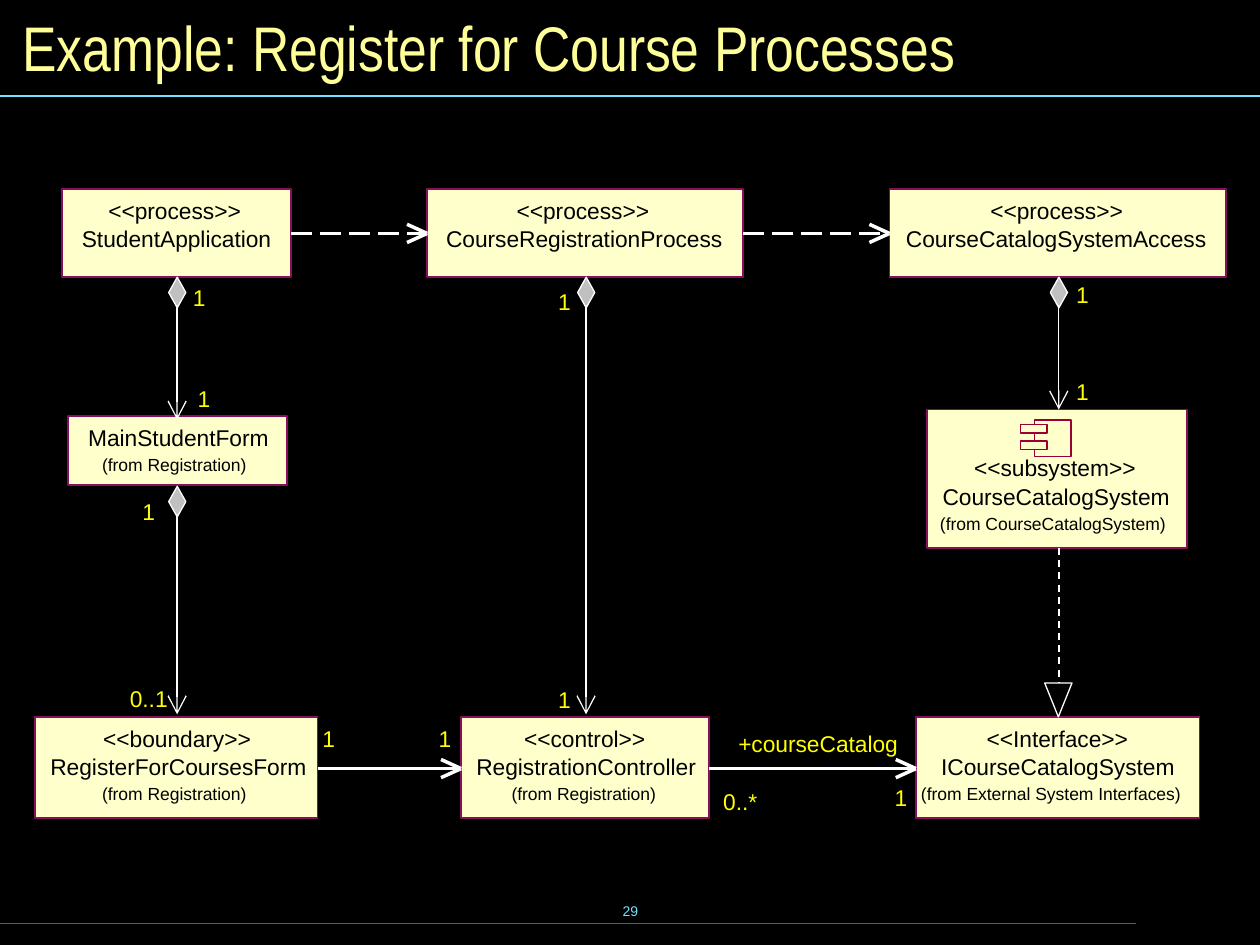
from dataclasses import dataclass

from lxml import etree
from pptx import Presentation
from pptx.dml.color import RGBColor
from pptx.enum.dml import MSO_LINE
from pptx.enum.shapes import MSO_CONNECTOR, MSO_SHAPE
from pptx.enum.text import MSO_ANCHOR, MSO_AUTO_SIZE, PP_ALIGN
from pptx.oxml.ns import qn
from pptx.util import Pt

COLORS = {
    "background": "000000",
    "title": "FFFF99",
    "rule": "73E1FF",
    "footer_rule": "007E9F",
    "box": "FFFFCC",
    "box_border": "8A0E5E",
    "symbol": "990033",
    "name": "000000",
    "role": "FFFF00",
    "link": "FFFFFF",
    "diamond": "C0C0C0",
}
NAME_SIZE, SOURCE_SIZE = 13, 10
LINE_STEP = {NAME_SIZE: 16.2, SOURCE_SIZE: 17.3}
LINE_HEIGHT = {NAME_SIZE: 15.8, SOURCE_SIZE: 12.2}
HAIRLINE = 0


@dataclass
class Label:
    text: str
    left: float
    width: float
    size: int = NAME_SIZE


@dataclass
class ClassBox:
    left: float
    top: float
    width: float
    height: float
    labels: list[Label]
    inset: float = 4.3


@dataclass
class Role:
    text: str
    left: float
    top: float
    width: float = 7.2


@dataclass
class Composition:
    x: float
    top: float
    bottom: float


@dataclass
class Link:
    start: float
    end: float
    y: float
    width: float = HAIRLINE
    dash: MSO_LINE | None = None


REGISTRATION = "(from Registration)"

CLASSES = [
    ClassBox(244.1, 108, 180.7, 50.4, [
        Label("<<process>>", 295.2, 75.6),
        Label("CourseRegistrationProcess", 254.9, 157.7)]),
    ClassBox(35.3, 108, 131, 50.4, [
        Label("<<process>>", 61.9, 75.6),
        Label("StudentApplication", 46.8, 108)]),
    ClassBox(529.9, 234, 148.3, 79.2, [
        Label("<<subsystem>>", 556.6, 92.2),
        Label("CourseCatalogSystem", 538.6, 129.6),
        Label("(from CourseCatalogSystem)", 537.1, 128.9, SOURCE_SIZE)], inset=25.5),
    ClassBox(20.2, 409.7, 161.3, 57.6, [
        Label("<<boundary>>", 59, 84.2),
        Label("RegisterForCoursesForm", 28.8, 146.2),
        Label(REGISTRATION, 58.3, 82.8, SOURCE_SIZE)]),
    ClassBox(38.9, 237.6, 125.3, 39.6, [
        Label("MainStudentForm", 50.4, 103),
        Label(REGISTRATION, 58.3, 82.8, SOURCE_SIZE)]),
    ClassBox(263.5, 409.7, 141.8, 57.6, [
        Label("<<control>>", 299.5, 69.1),
        Label("RegistrationController", 272.2, 125.3),
        Label(REGISTRATION, 292.3, 82.8, SOURCE_SIZE)]),
    ClassBox(523.4, 409.7, 162, 57.6, [
        Label("<<Interface>>", 563.8, 80.6),
        Label("ICourseCatalogSystem", 537.8, 133.2),
        Label("(from External System Interfaces)", 526.3, 148.3, SOURCE_SIZE)]),
    ClassBox(508.3, 108, 192.2, 50.4, [
        Label("<<process>>", 565.9, 75.6),
        Label("CourseCatalogSystemAccess", 517.7, 171.4)]),
]
ROLES = [
    Role("1", 319, 164.2), Role("1", 110.2, 162), Role("1", 614.9, 216),
    Role("1", 184.3, 414), Role("0..1", 74.2, 391, 21.6), Role("1", 113, 219.6),
    Role("1", 81.4, 284.4), Role("1", 319, 391.7), Role("1", 250.6, 414),
    Role("0..*", 413.3, 450, 19.4), Role("+courseCatalog", 421.9, 416.9, 91.4),
    Role("1", 511.2, 447.8), Role("1", 614.9, 160.6),
]
COMPOSITIONS = [
    Composition(101.2, 158.4, 239.8),
    Composition(334.9, 158.4, 408.2),
    Composition(101.2, 277.9, 408.2),
    Composition(605, 158.4, 234),
]
LINKS = [
    Link(166.3, 244.1, 133.4, 1.5, MSO_LINE.LONG_DASH),
    Link(424.8, 508.3, 133.4, 1.5, MSO_LINE.LONG_DASH),
    Link(181.5, 263.5, 439.2),
    Link(405.3, 523.4, 439.2),
]


def rgb(color: str) -> RGBColor:
    return RGBColor.from_string(COLORS[color])


def add_text(shapes, text: str, left: float, top: float, width: float, height: float,
             size: int, color: str, font: str = "Arial"):
    """Add a one-line text box without margins and return it."""
    box = shapes.add_textbox(Pt(left), Pt(top), Pt(width), Pt(height))
    frame = box.text_frame
    frame.margin_left = frame.margin_right = frame.margin_top = frame.margin_bottom = 0
    frame.word_wrap = False
    frame.auto_size = MSO_AUTO_SIZE.NONE
    paragraph = frame.paragraphs[0]
    paragraph.text = text
    paragraph.font.name = font
    paragraph.font.size = Pt(size)
    paragraph.font.color.rgb = rgb(color)
    return box


def add_outline(shapes, kind: MSO_SHAPE, left: float, top: float, width: float,
                height: float, fill: str | None, border: str, weight: float) -> None:
    shape = shapes.add_shape(kind, Pt(left), Pt(top), Pt(width), Pt(height))
    shape.shadow.inherit = False
    if fill:
        shape.fill.solid()
        shape.fill.fore_color.rgb = rgb(fill)
    else:
        shape.fill.background()
    shape.line.color.rgb = rgb(border)
    shape.line.width = Pt(weight)


def add_line(shapes, x1: float, y1: float, x2: float, y2: float, color: str = "link",
             weight: float = HAIRLINE, dash: MSO_LINE | None = None, arrow: bool = False) -> None:
    line = shapes.add_connector(MSO_CONNECTOR.STRAIGHT, Pt(x1), Pt(y1), Pt(x2), Pt(y2))
    line.line.color.rgb = rgb(color)
    line.line.width = Pt(weight)
    if dash:
        line.line.dash_style = dash
    if arrow:
        etree.SubElement(line.line._get_or_add_ln(), qn("a:tailEnd"),
                         type="arrow", w="lg", len="lg")
    etree.SubElement(line._element.spPr, qn("a:effectLst"))


def add_class(shapes, item: ClassBox) -> None:
    add_outline(shapes, MSO_SHAPE.RECTANGLE, item.left, item.top, item.width, item.height,
                "box", "box_border", 1)
    top = item.top + item.inset
    for index, label in enumerate(item.labels):
        if index:
            top += LINE_STEP[label.size]
        add_text(shapes, label.text, label.left, top, label.width,
                 LINE_HEIGHT[label.size], label.size, "name")


def add_link(shapes, link: Link) -> None:
    """Draw a horizontal line ending in an open arrowhead."""
    add_line(shapes, link.start, link.y, link.end, link.y, weight=link.width, dash=link.dash)
    for rise in (5.2, -5.2):
        add_line(shapes, link.end, link.y, link.end - 11.5, link.y + rise)


def add_composition(shapes, item: Composition) -> None:
    """Draw a diamond at the owner and an arrow down to the part."""
    add_outline(shapes, MSO_SHAPE.DIAMOND, item.x - 4.8, item.top, 9.8, 17.5,
                "diamond", "link", HAIRLINE)
    add_line(shapes, item.x, item.top + 16, item.x, item.bottom, weight=0.75, arrow=True)


def add_realization(shapes, x: float, top: float, bottom: float) -> None:
    """Draw a dashed line ending in a hollow triangle."""
    add_line(shapes, x, top, x, bottom - 19.4, weight=1, dash=MSO_LINE.DASH)
    add_outline(shapes, MSO_SHAPE.FLOWCHART_MERGE, x - 8, bottom - 19.4, 15.6, 19.4,
                None, "link", HAIRLINE)


def add_component_symbol(shapes) -> None:
    symbol = shapes.add_group_shape().shapes
    for bounds in ((591.1, 239.8, 21, 21), (583.2, 252, 15.1, 5), (583.2, 242.6, 15.1, 5)):
        add_outline(symbol, MSO_SHAPE.RECTANGLE, *bounds, "box", "symbol", 1)


def main() -> None:
    deck = Presentation()
    deck.slide_width, deck.slide_height = Pt(720), Pt(540)
    slide = deck.slides.add_slide(deck.slide_layouts[6])
    slide.background.fill.solid()
    slide.background.fill.fore_color.rgb = rgb("background")
    shapes = slide.shapes

    page = add_text(shapes, "29", 246.2, 502.6, 228.2, 36, 8, "rule")
    page.text_frame.vertical_anchor = MSO_ANCHOR.MIDDLE
    page.text_frame.paragraphs[0].alignment = PP_ALIGN.CENTER
    add_line(shapes, 0, 527.8, 649.4, 527.8, "footer_rule", 0.75)
    add_line(shapes, 0, 54.9, 720, 54.9, "rule", 0.75)

    for item in CLASSES:
        add_class(shapes, item)
    for role in ROLES:
        add_text(shapes, role.text, role.left, role.top, role.width,
                 LINE_HEIGHT[NAME_SIZE], NAME_SIZE, "role")
    for link in LINKS:
        add_link(shapes, link)
    for composition in COMPOSITIONS:
        add_composition(shapes, composition)
    add_realization(shapes, 605, 313.2, 409.7)

    title = add_text(shapes, "Example: Register for Course Processes",
                     5.8, 5.8, 708.5, 41.8, 36, "title", "Arial Narrow")
    title.text_frame.word_wrap = True
    title.text_frame.margin_left = title.text_frame.margin_right = Pt(7.2)
    title.text_frame.vertical_anchor = MSO_ANCHOR.MIDDLE
    add_component_symbol(shapes)
    deck.save("out.pptx")


if __name__ == "__main__":
    main()
